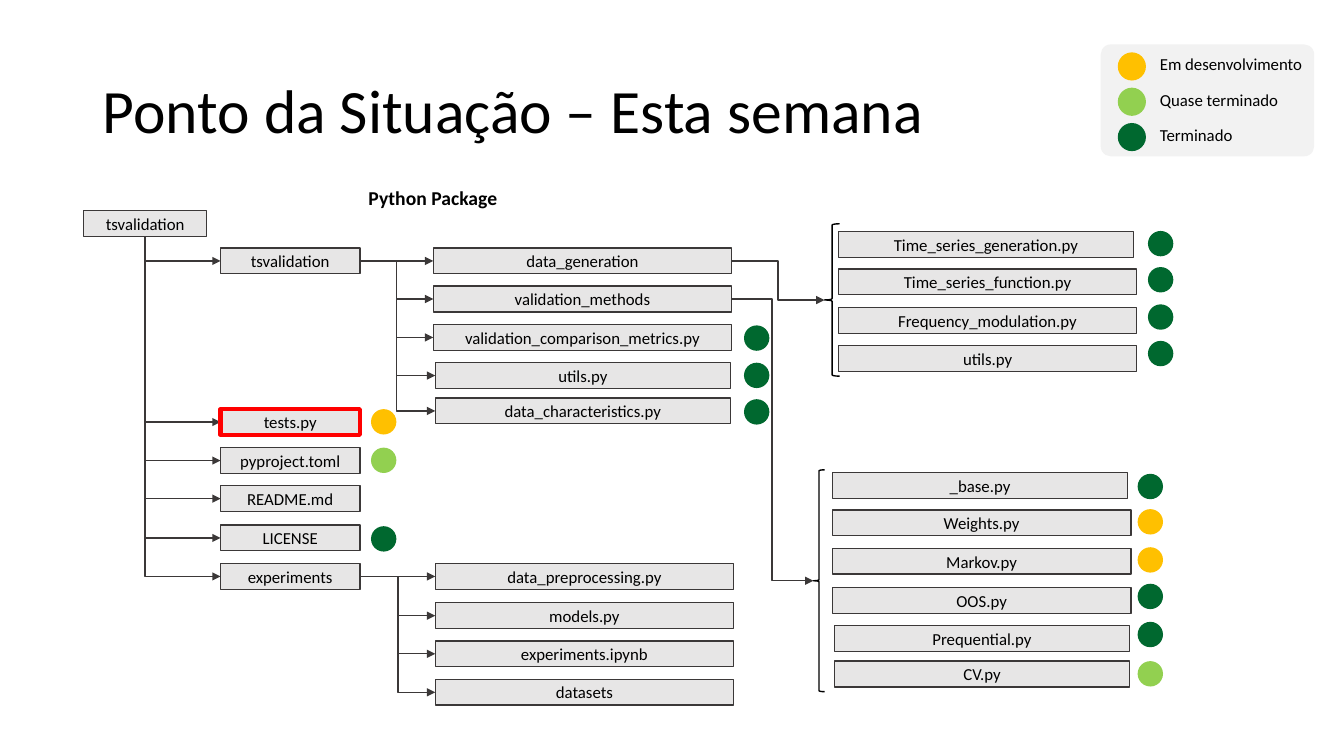
from lxml import etree
from pptx import Presentation
from pptx.dml.color import RGBColor
from pptx.enum.shapes import MSO_CONNECTOR, MSO_SHAPE
from pptx.enum.text import MSO_ANCHOR, PP_ALIGN
from pptx.oxml.ns import qn
from pptx.util import Cm, Pt

RECTANGLE, ROUNDED = MSO_SHAPE.RECTANGLE, MSO_SHAPE.ROUNDED_RECTANGLE
OVAL, BRACE = MSO_SHAPE.OVAL, MSO_SHAPE.LEFT_BRACE
STRAIGHT, ELBOW = MSO_CONNECTOR.STRAIGHT, MSO_CONNECTOR.ELBOW
LEFT, CENTER, MIDDLE = PP_ALIGN.LEFT, PP_ALIGN.CENTER, MSO_ANCHOR.MIDDLE
TOP_SITE_BOTTOM, SITE_LEFT, SITE_RIGHT = 2, 1, 3

COLORS = {
    "text": "000000", "box": "E7E6E6", "edge": "3B3838", "legend": "F2F2F2",
    "highlight": "FF0000", "developing": "FFC000", "almost": "92D050", "done": "00682F",
}
FONT = "Calibri"
BOX_HEIGHT, DOT, LEGEND_DOT = 0.65, 0.64, 0.71

# All lengths are centimetres.
TITLE = ("Ponto da Situação – Esta semana", (2.34, 1.02, 29.21, 3.68))
HEADING = ("Python Package", (9.02, 4.55, 3.78, 0.86))
LEGEND_AREA = (27.74, 1.12, 5.38, 2.82)
LEGEND_STEP = 0.89
LEGEND = [("Em desenvolvimento", "developing"), ("Quase terminado", "almost"), ("Terminado", "done")]

# Group: left edge of its dots, then rows of (name, left, top, width, status, dot top)
TREE = {
    "root": (None, [("tsvalidation", 2.11, 5.31, 3.1, None, None)]),
    "modules": (9.35, [
        ("tsvalidation", 5.56, 6.25, 3.51, None, None),
        ("tests.py", 5.56, 10.31, 3.51, "developing", 10.31),
        ("pyproject.toml", 5.56, 11.28, 3.51, "almost", 11.28),
        ("README.md", 5.56, 12.24, 3.51, None, None),
        ("LICENSE", 5.56, 13.23, 3.51, "done", 13.26),
        ("experiments", 5.56, 14.2, 3.51, None, None),
    ]),
    "package": (18.75, [
        ("data_generation", 10.92, 6.25, 7.52, None, None),
        ("validation_methods", 10.92, 7.21, 7.52, None, None),
        ("validation_comparison_metrics.py", 10.92, 8.18, 7.52, "done", 8.2),
        ("utils.py", 10.97, 9.14, 7.44, "done", 9.14),
        ("data_characteristics.py", 10.97, 10.03, 7.44, "done", 10.06),
    ]),
    "experiments": (None, [
        ("data_preprocessing.py", 10.97, 14.2, 7.52, None, None),
        ("models.py", 10.97, 15.19, 7.52, None, None),
        ("experiments.ipynb", 10.97, 16.15, 7.52, None, None),
        ("datasets", 10.97, 17.12, 7.52, None, None),
    ]),
    "generation": (28.93, [
        ("Time_series_generation.py", 21.13, 5.84, 7.44, "done", 5.82),
        ("Time_series_function.py", 21.13, 6.78, 7.52, "done", 6.73),
        ("Frequency_modulation.py", 21.13, 7.75, 7.52, "done", 7.67),
        ("utils.py", 21.13, 8.71, 7.52, "done", 8.59),
    ]),
    "validation": (28.67, [
        ("_base.py", 20.98, 11.91, 7.44, "done", 11.94),
        ("Weights.py", 20.98, 12.85, 7.52, "developing", 12.83),
        ("Markov.py", 20.98, 13.82, 7.52, "developing", 13.79),
        ("OOS.py", 20.98, 14.81, 7.52, "done", 14.71),
        ("Prequential.py", 21.03, 15.77, 7.44, "done", 15.67),
        ("CV.py", 21.03, 16.66, 7.44, "almost", 16.66),
    ]),
}
# Parent module, group of its children, x of the shared vertical
BRANCHES = [("tsvalidation", "package", 10.0), ("experiments", "experiments", 10.03)]
# Parent in the package, brace area, x of the vertical
BRACES = [
    ("data_generation", (20.78, 5.64, 0.38, 3.84), 19.61),
    ("validation_methods", (20.5, 11.84, 0.28, 5.59), 19.46),
]
HIGHLIGHTED = ("modules", "tests.py")


def color(name):
    return RGBColor.from_string(COLORS[name])


def write(holder, text, size, align, bold=False):
    frame = holder.text_frame
    frame.vertical_anchor = MIDDLE
    para = frame.paragraphs[0]
    para.alignment = align
    span = para.add_run()
    span.text = text
    span.font.name, span.font.size, span.font.bold = FONT, Pt(size), bold
    span.font.color.rgb = color("text")
    return frame


def add_label(page, text, area, size, align, bold=False, wrap=False):
    box = page.shapes.add_textbox(*map(Cm, area))
    write(box, text, size, align, bold).word_wrap = wrap
    return box


def add_figure(page, kind, area, fill=None, line=None, weight=1):
    figure = page.shapes.add_shape(kind, *map(Cm, area))
    figure.shadow.inherit = False
    if fill:
        figure.fill.solid()
        figure.fill.fore_color.rgb = color(fill)
    else:
        figure.fill.background()
    if line:
        figure.line.color.rgb = color(line)
        figure.line.width = Pt(weight)
    else:
        figure.line.fill.background()
    return figure


def add_arrow(page, kind, start, start_site, end):
    arrow = page.shapes.add_connector(kind, 0, 0, 0, 0)
    arrow.begin_connect(start, start_site)
    arrow.end_connect(end, SITE_LEFT)
    arrow.line.color.rgb = color("edge")
    arrow.line.width = Pt(1)
    etree.SubElement(arrow.line._get_or_add_ln(), qn("a:tailEnd"), type="triangle")
    etree.SubElement(arrow._element.spPr, qn("a:effectLst"))
    return arrow


def add_side_arrow(page, start, end, bend):
    """Arrow from a right side to a left side, turning at x = bend."""
    if start.top == end.top:
        return add_arrow(page, STRAIGHT, start, SITE_RIGHT, end)
    arrow = add_arrow(page, ELBOW, start, SITE_RIGHT, end)
    share = round((Cm(bend) - arrow.begin_x) / arrow.width * 100000)
    adjustments = arrow._element.spPr.find(qn("a:prstGeom")).get_or_add_avLst()
    etree.SubElement(adjustments, qn("a:gd"), name="adj1", fmla=f"val {share}")
    return arrow


def add_drop_arrow(page, start, end):
    """Arrow down from a bottom side, then right: a turned and flipped one-bend connector."""
    arrow = add_arrow(page, ELBOW, start, TOP_SITE_BOTTOM, end)
    run, drop = arrow.width, arrow.height
    middle_x, middle_y = arrow.left + run // 2, arrow.top + drop // 2
    arrow.left, arrow.top = middle_x - drop // 2, middle_y - run // 2
    arrow.width, arrow.height = drop, run
    properties = arrow._element.spPr
    frame = properties.find(qn("a:xfrm"))
    frame.set("rot", "16200000")
    frame.set("flipH", "1")
    properties.find(qn("a:prstGeom")).set("prst", "bentConnector2")


def add_legend(page):
    panel = add_figure(page, ROUNDED, LEGEND_AREA, "legend")
    panel.adjustments[0] = 0.09
    for index, (text, status) in enumerate(LEGEND):
        shift = index * LEGEND_STEP
        add_figure(page, OVAL, (28.17, 1.32 + shift, LEGEND_DOT, LEGEND_DOT), status)
        add_label(page, text, (28.98, 1.24 + shift, 4.14, 0.76), 12, LEFT)


def add_tree(page):
    boxes = {}
    for group, (dot_left, rows) in TREE.items():
        for name, left, top, width, status, dot_top in rows:
            box = add_figure(page, RECTANGLE, (left, top, width, BOX_HEIGHT), "box", "edge")
            write(box, name, 12, CENTER)
            boxes[group, name] = box
            if status:
                add_figure(page, OVAL, (dot_left, dot_top, DOT, DOT), status)
    return boxes


def add_links(page, boxes):
    for (group, name), box in boxes.items():
        if group == "modules":
            add_drop_arrow(page, boxes["root", "tsvalidation"], box)
    for parent, children, bend in BRANCHES:
        for (group, name), box in boxes.items():
            if group == children:
                add_side_arrow(page, boxes["modules", parent], box, bend)
    for parent, area, bend in BRACES:
        brace = add_figure(page, BRACE, area, line="text")
        add_side_arrow(page, boxes["package", parent], brace, bend)


def main():
    deck = Presentation()
    deck.slide_width, deck.slide_height = Cm(33.87), Cm(19.05)
    page = deck.slides.add_slide(deck.slide_layouts[6])
    add_legend(page)
    title = add_label(page, *TITLE, 44, LEFT, wrap=True)
    title.text_frame.paragraphs[0].line_spacing = 0.9
    add_label(page, *HEADING, 14, CENTER, bold=True)
    boxes = add_tree(page)
    add_links(page, boxes)
    tests = boxes[HIGHLIGHTED]
    area = (tests.left.cm, tests.top.cm, tests.width.cm, tests.height.cm)
    add_figure(page, RECTANGLE, area, line="highlight", weight=3)
    deck.save("out.pptx")


if __name__ == "__main__":
    main()
